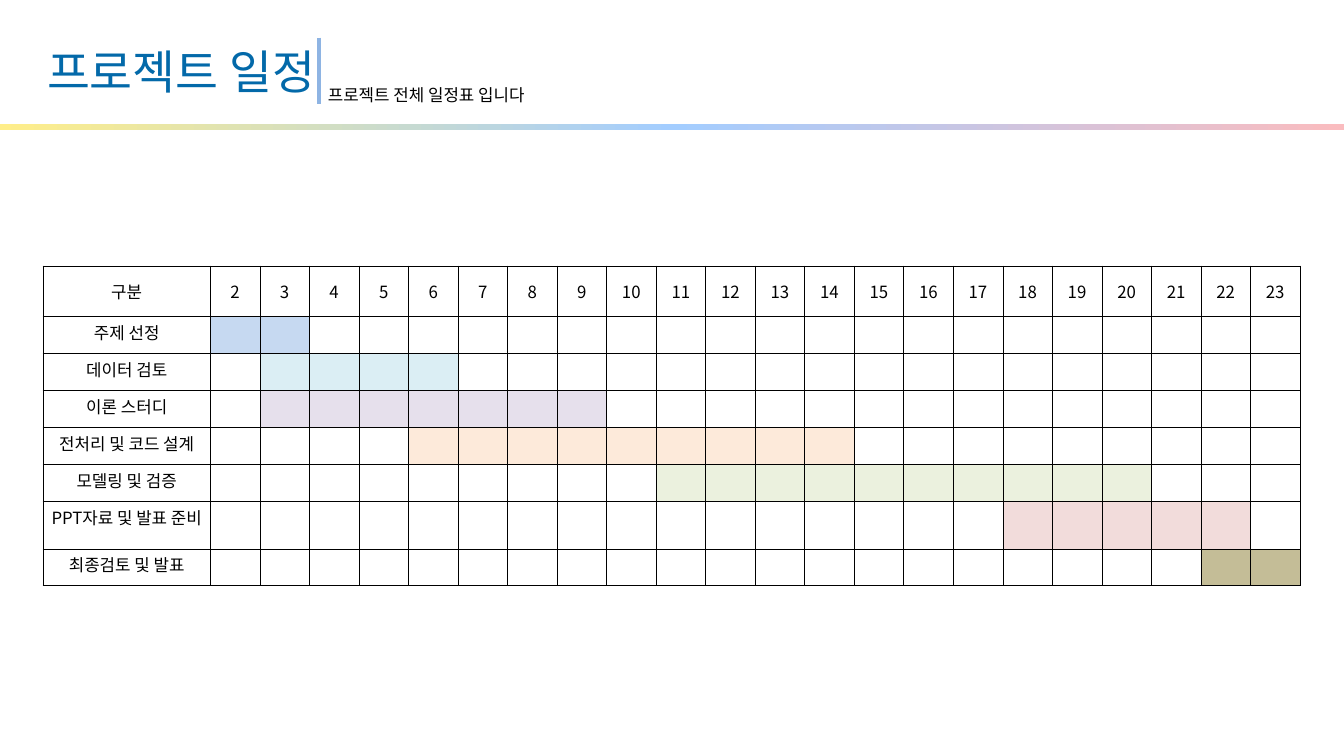
import copy

import pptx
import pptx.dml.color
import pptx.enum.shapes
import pptx.enum.text
import pptx.oxml
import pptx.oxml.ns
import pptx.util

Inches = pptx.util.Inches
Pt = pptx.util.Pt
qn = pptx.oxml.ns.qn

FONT = "Noto Sans CJK KR"
FIRST_DAY, LAST_DAY = 2, 23
TASKS = [
    ("주제 선정", 2, 3, "C6D9F1"),
    ("데이터 검토", 3, 6, "DBEEF4"),
    ("이론 스터디", 3, 9, "E6E0EC"),
    ("전처리 및 코드 설계", 6, 14, "FDEADA"),
    ("모델링 및 검증", 11, 20, "EBF1DE"),
    ("PPT자료 및 발표 준비", 18, 22, "F2DCDB"),
    ("최종검토 및 발표", 22, 23, "C4BD97"),
]


def color(value):
    return pptx.dml.color.RGBColor.from_string(value)


def add_run(paragraph, text, size, value):
    run = paragraph.add_run()
    run.text = text
    run.font.size = Pt(size)
    run.font.color.rgb = color(value)
    run.font.name = FONT
    properties = run.font._element
    east_asian = properties.makeelement(qn("a:ea"), {"typeface": FONT})
    properties.find(qn("a:latin")).addnext(east_asian)


def add_text(slide, left, top, width, height, text, size, value):
    shape = slide.shapes.add_textbox(
        Inches(left), Inches(top), Inches(width), Inches(height))
    shape.text_frame.word_wrap = True
    add_run(shape.text_frame.paragraphs[0], text, size, value)
    return shape.text_frame


def add_rainbow_bar(slide, left, top, width, height):
    bar = slide.shapes.add_shape(
        pptx.enum.shapes.MSO_SHAPE.RECTANGLE,
        Inches(left), Inches(top), Inches(width), Inches(height))
    bar.shadow.inherit = False
    bar.line.fill.background()
    bar.fill.gradient()
    bar.fill.gradient_angle = 0
    stop_list = bar._element.spPr.find(qn("a:gradFill")).find(qn("a:gsLst"))
    stop_list.append(copy.deepcopy(stop_list[0]))
    stops = [(0, "FFEE89"), (0.5, "A3CDFF"), (1, "FABCBF")]
    for stop, (position, value) in zip(bar.fill.gradient_stops, stops):
        stop.position = position
        stop.color.rgb = color(value)


def add_header(slide, left, top, width, height):
    title = add_text(slide, left + 0.7, top + 0.57, 6.74, 0.97,
                     "프로젝트 일정", 50, "0369A9")
    title.vertical_anchor = pptx.enum.text.MSO_ANCHOR.MIDDLE
    title.margin_left = title.margin_right = 0
    title.margin_top = title.margin_bottom = 0
    title.paragraphs[0].line_spacing = 1.0

    add_rainbow_bar(slide, left, top + height - 0.1, width, 0.1)

    divider = slide.shapes.add_connector(
        pptx.enum.shapes.MSO_CONNECTOR.STRAIGHT,
        Inches(left + 4.75), Inches(top + 0.56),
        Inches(left + 4.75), Inches(top + 1.55))
    divider.line.color.rgb = color("8EB4E3")
    divider.line.width = Pt(3.75)
    properties = divider._element.spPr
    properties.append(properties.makeelement(qn("a:effectLst"), {}))

    add_text(slide, left + 4.78, top + 1.21, 14.76, 0.4,
             "프로젝트 전체 일정표 입니다", 18, "000000")


def set_borders(cell, weights):
    properties = cell._tc.get_or_add_tcPr()
    for side, weight in weights.items():
        properties.append(pptx.oxml.parse_xml(
            f'<a:ln{side} {pptx.oxml.ns.nsdecls("a")} w="{Pt(weight)}">'
            '<a:solidFill><a:srgbClr val="000000"/></a:solidFill>'
            f'</a:ln{side}>'))


def set_cell(cell, text, fill):
    if fill:
        cell.fill.solid()
        cell.fill.fore_color.rgb = color(fill)
    else:
        cell.fill.background()
    if text:
        paragraph = cell.text_frame.paragraphs[0]
        paragraph.alignment = pptx.enum.text.PP_ALIGN.CENTER
        add_run(paragraph, text, 18, "000000")


def add_schedule(slide, left, top, width, height):
    days = range(FIRST_DAY, LAST_DAY + 1)
    last_row, last_column = len(TASKS), len(days)
    label_width, header_height = 2.49, 0.75
    table = slide.shapes.add_table(
        last_row + 1, last_column + 1,
        Inches(left), Inches(top), Inches(width), Inches(height)).table
    table.first_row = table.horz_banding = False

    for index, column in enumerate(table.columns):
        column.width = Inches(
            (width - label_width) / last_column if index else label_width)
    for index, row in enumerate(table.rows):
        row.height = Inches(
            (height - header_height) / last_row if index else header_height)

    rows = [[("구분", None)] + [(str(day), None) for day in days]]
    for label, start, end, value in TASKS:
        bars = [("", value if start <= day <= end else None) for day in days]
        rows.append([(label, None)] + bars)

    for row_index, row in enumerate(rows):
        for column_index, (text, fill) in enumerate(row):
            cell = table.cell(row_index, column_index)
            set_borders(cell, {
                "L": 1 if column_index <= 1 else 0.5,
                "R": 1 if column_index in (0, last_column) else 0.5,
                "T": 1 if row_index <= 1 else 0.5,
                "B": 1 if row_index in (0, last_row) else 0.5,
            })
            set_cell(cell, text, fill)
            if row_index == 0:
                cell.vertical_anchor = pptx.enum.text.MSO_ANCHOR.MIDDLE


def main():
    presentation = pptx.Presentation()
    presentation.slide_width = Inches(20)
    presentation.slide_height = Inches(11.25)
    slide = presentation.slides.add_slide(presentation.slide_layouts[6])
    add_header(slide, 0, 0, 20, 1.94)
    add_schedule(slide, 0.64, 3.96, 18.71, 4.61)
    presentation.save("out.pptx")


if __name__ == "__main__":
    main()
